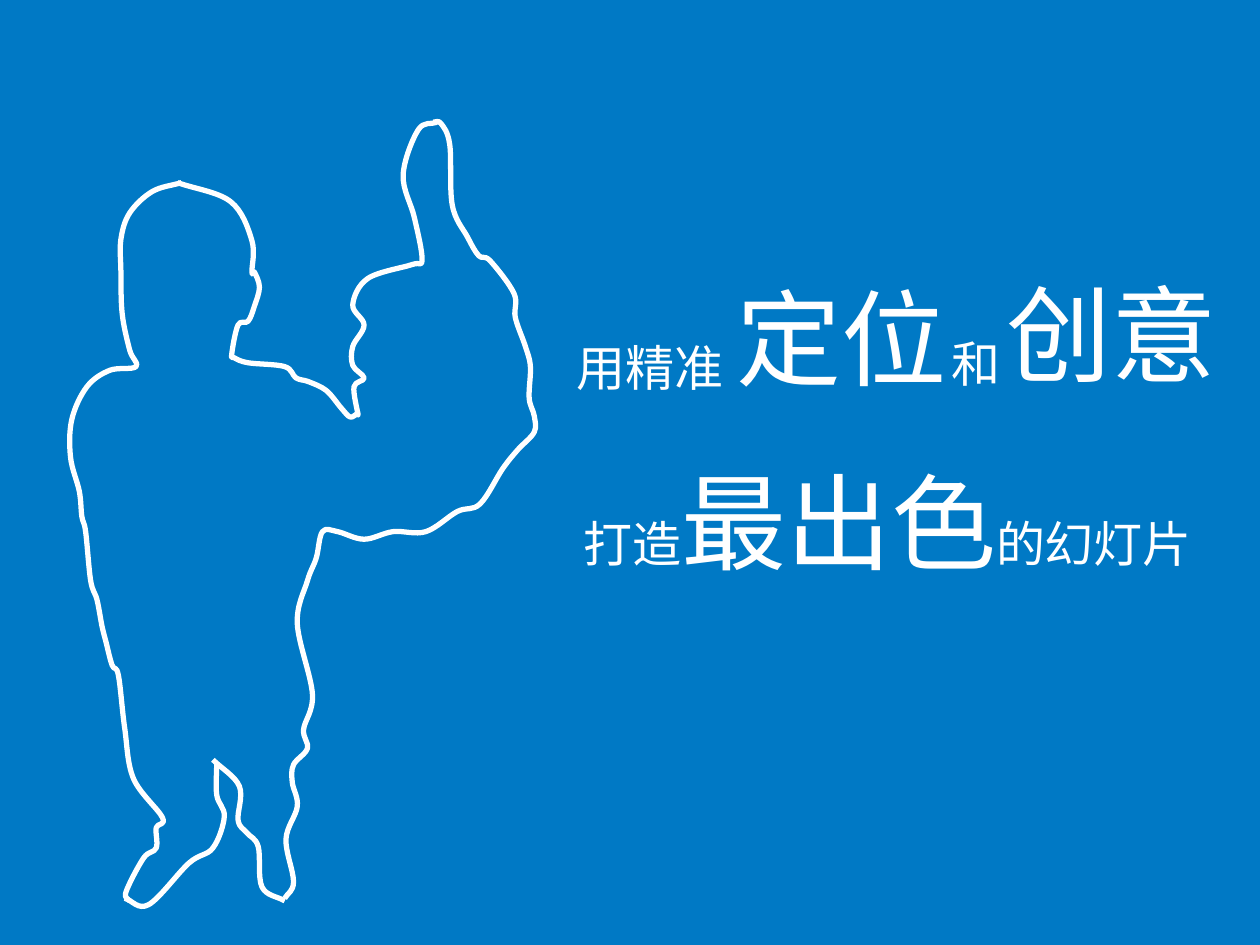
"""Build a slide with a thumbs-up outline figure beside a two-line slogan."""
import pptx
import pptx.dml.color
import pptx.enum.text
import pptx.oxml.ns
import pptx.util
from lxml import etree

FONT = "Noto Sans CJK SC"
WHITE = "FFFFFF"
BLUE = "0079C5"
SMALL, LARGE = 28, 60
INCH = 2.54

BACK = [
    (1.44, 1.45), (1.21, 1.52), (1.03, 1.69), (0.96, 1.9), (0.96, 2.15), (0.97, 2.49),
    (1.03, 2.78), (1.08, 2.91), (0.87, 2.94), (0.69, 3.07), (0.57, 3.33), (0.56, 3.63),
    (0.63, 3.9), (0.65, 4.1), (0.68, 4.22), (0.72, 4.61), (0.77, 4.76), (0.81, 4.97),
    (0.84, 5.09), (0.89, 5.28), (0.94, 5.36), (0.99, 5.78), (1.06, 6.18), (1.29, 6.49),
    (1.24, 6.57), (1.24, 6.73), (1.14, 6.81), (1.0, 7.08), (1.03, 7.15)]
LEFT_LEG = [
    (0.99, 7.13), (1.18, 7.18), (1.5, 6.85), (1.69, 6.73), (1.78, 6.48), (1.72, 6.31),
    (1.72, 6.05)]
RIGHT_LEG = [
    (1.69, 6.03), (1.9, 6.24), (1.89, 6.51), (1.96, 6.61), (2.05, 6.72), (2.08, 7.04),
    (2.26, 7.15)]
FRONT_AND_ARM = [
    (2.26, 7.13), (2.33, 7), (2.27, 6.66), (2.36, 6.4), (2.32, 6.21), (2.33, 6.07),
    (2.44, 5.94), (2.41, 5.79), (2.48, 5.51), (2.36, 4.95), (2.44, 4.61), (2.51, 4.43),
    (2.56, 4.22), (2.68, 4.22), (2.89, 4.28), (3.12, 4.22), (3.38, 4.22), (3.63, 4.06),
    (3.81, 4), (3.99, 3.72), (4.11, 3.57), (4.24, 3.43), (4.24, 3.3), (4.2, 3.16),
    (4.21, 2.91), (4.17, 2.75), (4.09, 2.52), (4.08, 2.33), (3.89, 2.07), (3.8, 2.03),
    (3.71, 1.88), (3.59, 1.63), (3.57, 1.15), (3.5, 0.98), (3.44, 0.97)]
THUMB_AND_FIST = [
    (3.47, 0.97), (3.32, 1.03), (3.2, 1.39), (3.29, 1.73), (3.35, 2.06), (3.27, 2.1),
    (2.92, 2.21), (2.8, 2.42), (2.89, 2.58), (2.8, 2.75), (2.8, 2.9), (2.89, 3),
    (2.81, 3.07), (2.84, 3.28), (2.84, 3.27)]
SHOULDER_AND_HEAD = [
    (2.84, 3.28), (2.78, 3.31), (2.71, 3.24), (2.59, 3.1), (2.45, 3.03), (2.35, 3),
    (2.26, 2.91), (1.97, 2.88), (1.86, 2.84), (1.84, 2.81), (1.89, 2.58), (1.97, 2.55),
    (2.02, 2.43), (2.06, 2.28), (2.02, 2.16), (2, 2.16), (2, 1.91), (1.83, 1.6),
    (1.41, 1.45)]
FIGURE = [BACK, LEFT_LEG, RIGHT_LEG, FRONT_AND_ARM, THUMB_AND_FIST, SHOULDER_AND_HEAD]

SLOGAN = [
    ((7.89, 2.09, 1.95, 1.1), True, [("创意", LARGE)]),
    ((4.48, 2.63, 1.4, 0.57), False, [("用精准", SMALL)]),
    ((7.45, 2.6, 0.6, 0.57), False, [("和", SMALL)]),
    ((5.75, 2.12, 1.95, 1.1), True, [("定位", LARGE)]),
    ((4.53, 3.58, 5.39, 1.1), True,
     [("打造", SMALL), ("最出色", LARGE), ("的幻灯片", SMALL)]),
]


def rgb(value):
    return pptx.dml.color.RGBColor.from_string(value)


def length(inches):
    return pptx.util.Cm(inches * INCH)


def tangent(pts, i):
    """Return a third of the travel direction at anchor i."""
    a, b = max(i - 1, 0), min(i + 1, len(pts) - 1)
    return [(pts[b][k] - pts[a][k]) / (3 * (b - a)) for k in (0, 1)]


def smooth(sp):
    """Turn the straight segments of a freeform into curves through its anchors."""
    qn = pptx.oxml.ns.qn
    pts = [(int(pt.get("x")), int(pt.get("y"))) for pt in sp.element.iter(qn("a:pt"))]
    for i, seg in enumerate(list(sp.element.iter(qn("a:lnTo")))):
        start, end = pts[i], pts[i + 1]
        out, into = tangent(pts, i), tangent(pts, i + 1)
        curve = etree.Element(qn("a:cubicBezTo"))
        for x, y in ((start[0] + out[0], start[1] + out[1]),
                     (end[0] - into[0], end[1] - into[1]), end):
            etree.SubElement(curve, qn("a:pt"), x=str(round(x)), y=str(round(y)))
        seg.getparent().replace(seg, curve)


def add_outline(s, anchors):
    pts = [(length(x), length(y)) for x, y in anchors]
    builder = s.shapes.build_freeform(*pts[0])
    builder.add_line_segments(pts[1:], close=False)
    sp = builder.convert_to_shape()
    sp.shadow.inherit = False
    sp.fill.background()
    sp.line.color.rgb = rgb(WHITE)
    sp.line.width = pptx.util.Pt(3)
    smooth(sp)


def add_run(p, text, size=SMALL, color=WHITE, font=FONT):
    r = p.add_run()
    r.text = text
    r.font.size = pptx.util.Pt(size)
    r.font.color.rgb = rgb(color)
    r.font.name = font
    etree.SubElement(r.font._element, pptx.oxml.ns.qn("a:ea"), typeface=font)


def main():
    prs = pptx.Presentation()
    prs.slide_width, prs.slide_height = pptx.util.Cm(25.4), pptx.util.Cm(19.05)
    s = prs.slides.add_slide(prs.slide_layouts[6])
    s.background.fill.solid()
    s.background.fill.fore_color.rgb = rgb(BLUE)
    for anchors in FIGURE:
        add_outline(s, anchors)
    for box, wrap, runs in SLOGAN:
        tf = s.shapes.add_textbox(*map(length, box)).text_frame
        tf.word_wrap = wrap
        tf.auto_size = pptx.enum.text.MSO_AUTO_SIZE.SHAPE_TO_FIT_TEXT
        for text, size in runs:
            add_run(tf.paragraphs[0], text, size=size)
    prs.save("out.pptx")


if __name__ == "__main__":
    main()
